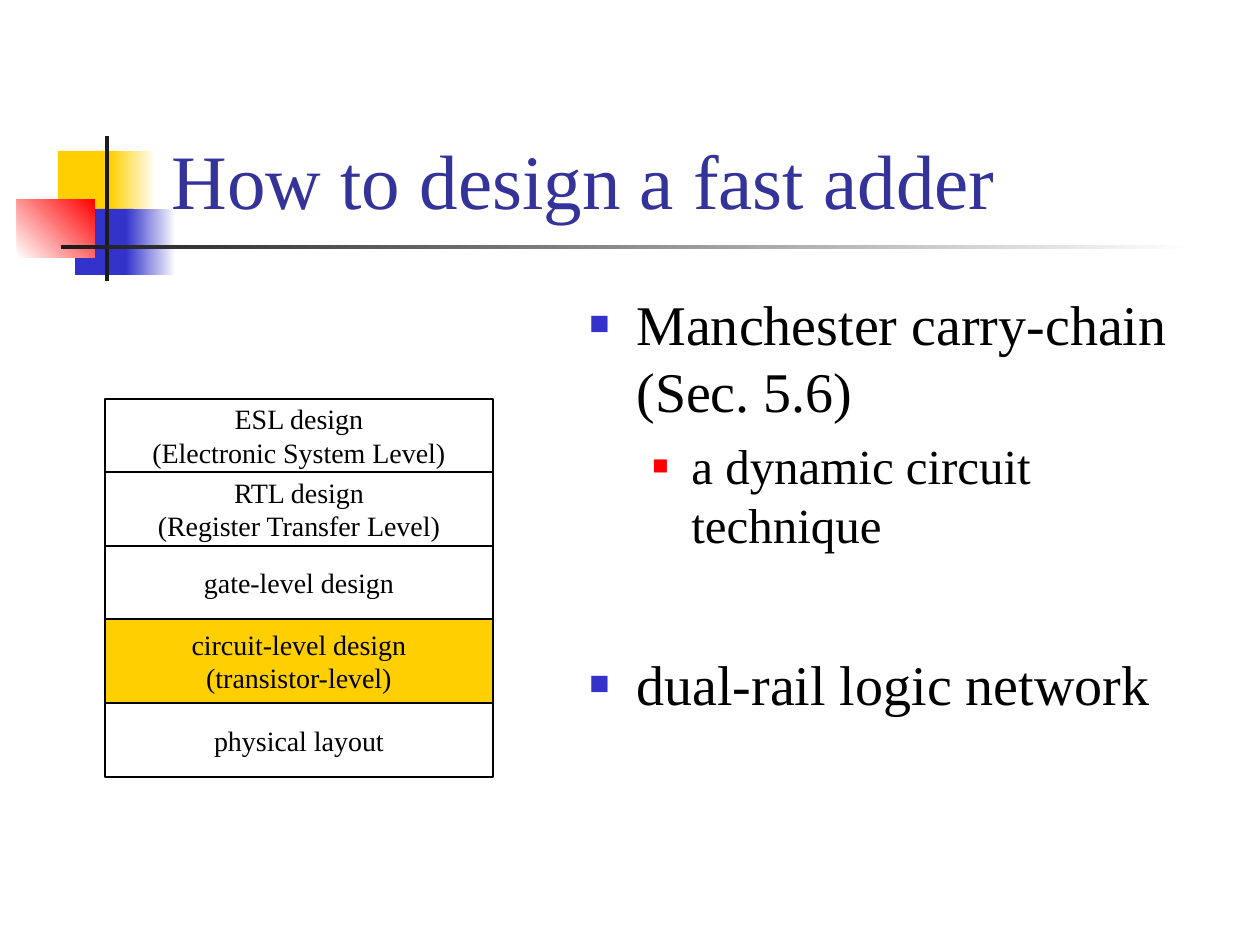
import pptx
import pptx.dml.color
import pptx.enum.shapes
import pptx.enum.text
import pptx.oxml
import pptx.oxml.ns
import pptx.util
from lxml import etree

EMU_PER_PX = 914400 / 126
COLORS = {
    "yellow": "FFCF01",
    "blue": "3333CC",
    "red": "FF0000",
    "ink": "1C1C1C",
    "title": "333399",
    "text": "000000",
    "white": "FFFFFF",
}


def px(length):
    return pptx.util.Emu(round(length * EMU_PER_PX))


def rgb(name):
    return pptx.dml.color.RGBColor.from_string(COLORS[name])


class SlideBuilder:
    font = "Times New Roman"

    def __init__(self, slide):
        self.slide = slide

    def add_run(self, paragraph, text, size, color="text"):
        run = paragraph.add_run()
        run.text = text
        run.font.name = self.font
        run.font.size = pptx.util.Pt(size)
        run.font.color.rgb = rgb(color)

    def rect(self, box, fill=None, fade=None, angle=0, line=None):
        """Rectangle with no fill, a plain fill, or a gradient from fill to fade."""
        rect = self.slide.shapes.add_shape(
            pptx.enum.shapes.MSO_SHAPE.RECTANGLE, *map(px, box))
        rect.shadow.inherit = False
        if fill is None:
            rect.fill.background()
        elif fade is None:
            rect.fill.solid()
            rect.fill.fore_color.rgb = rgb(fill)
        else:
            rect.fill.gradient()
            rect.fill.gradient_angle = angle
            for stop, color in zip(rect.fill.gradient_stops, (fill, fade)):
                stop.color.rgb = rgb(color)
        if line is None:
            rect.line.fill.background()
        else:
            rect.line.color.rgb = rgb(line)
            rect.line.width = pptx.util.Pt(0.75)
        return rect

    def title(self, box, text):
        title = self.slide.shapes.title
        title.left, title.top, title.width, title.height = map(px, box)
        frame = title.text_frame
        frame.auto_size = pptx.enum.text.MSO_AUTO_SIZE.NONE
        frame.vertical_anchor = pptx.enum.text.MSO_ANCHOR.BOTTOM
        frame.paragraphs[0].alignment = pptx.enum.text.PP_ALIGN.LEFT
        self.add_run(frame.paragraphs[0], text, 44, "title")
        # Bring the title in front of the decoration
        title.element.getparent().append(title.element)

    def level_box(self, box, lines, fill):
        level = self.rect(box, fill, line="text")
        frame = level.text_frame
        frame.word_wrap = False
        frame.vertical_anchor = pptx.enum.text.MSO_ANCHOR.MIDDLE
        for i, line in enumerate(lines):
            paragraph = frame.add_paragraph() if i else frame.paragraphs[0]
            paragraph.alignment = pptx.enum.text.PP_ALIGN.CENTER
            self.add_run(paragraph, line, 16)
        return level

    def level_stack(self, left, top, width, levels):
        boxes = []
        for height, fill, lines in levels:
            boxes.append(self.level_box((left, top, width, height), lines, fill))
            top += height
        self.slide.shapes.add_group_shape(boxes)

    def bullet(self, paragraph, color, percent, margin, hang):
        properties = paragraph._p.get_or_add_pPr()
        properties.set("marL", str(px(margin)))
        properties.set("indent", str(-px(hang)))
        qn = pptx.oxml.ns.qn
        bullet_color = etree.SubElement(properties, qn("a:buClr"))
        etree.SubElement(bullet_color, qn("a:srgbClr"), val=COLORS[color])
        etree.SubElement(properties, qn("a:buSzPct"), val=str(percent * 1000))
        etree.SubElement(properties, qn("a:buFont"), typeface=self.font)
        etree.SubElement(properties, qn("a:buChar"), char="■")

    def bullet_list(self, box, items):
        frame = self.slide.shapes.add_textbox(*map(px, box)).text_frame
        frame.word_wrap = True
        styles = [
            (32, ("blue", 60, 47, 47)),
            (28, ("red", 55, 102, 39)),
        ]
        for i, (level, space_before, text) in enumerate(items):
            paragraph = frame.add_paragraph() if i else frame.paragraphs[0]
            size, marker = styles[level]
            paragraph.level = level
            paragraph.space_before = pptx.util.Pt(space_before)
            self.bullet(paragraph, *marker)
            self.add_run(paragraph, text, size)


def main():
    deck = pptx.Presentation()
    deck.slide_width, deck.slide_height = px(1260), px(945)
    builder = SlideBuilder(deck.slides.add_slide(deck.slide_layouts[5]))

    builder.rect((58, 151, 60, 66), "yellow")
    builder.rect((110, 151, 46, 66), "yellow", "white")
    builder.rect((75, 209, 58, 66), "blue")
    builder.rect((126, 209, 50, 66), "blue", "white")
    builder.rect((17, 199, 78, 59), "white", "red", angle=45)
    builder.rect((105, 136, 4, 145), "ink")
    builder.rect((61, 245, 1134, 4), "ink", "white")

    builder.title((159, 29, 1074, 202), "How to design a fast adder")
    builder.bullet_list((577, 283, 651, 567), [
        (0, 8, "Manchester carry-chain (Sec. 5.6)"),
        (1, 7, "a dynamic circuit technique"),
        (0, 55, "dual-rail logic network"),
    ])
    builder.level_stack(105, 399, 388, [
        (73, None, ["ESL design", "(Electronic System Level)"]),
        (74, None, ["RTL design", "(Register Transfer Level)"]),
        (73, None, ["gate-level design"]),
        (84, "yellow", ["circuit-level design", "(transistor-level)"]),
        (74, None, ["physical layout"]),
    ])
    deck.save("out.pptx")


if __name__ == "__main__":
    main()
